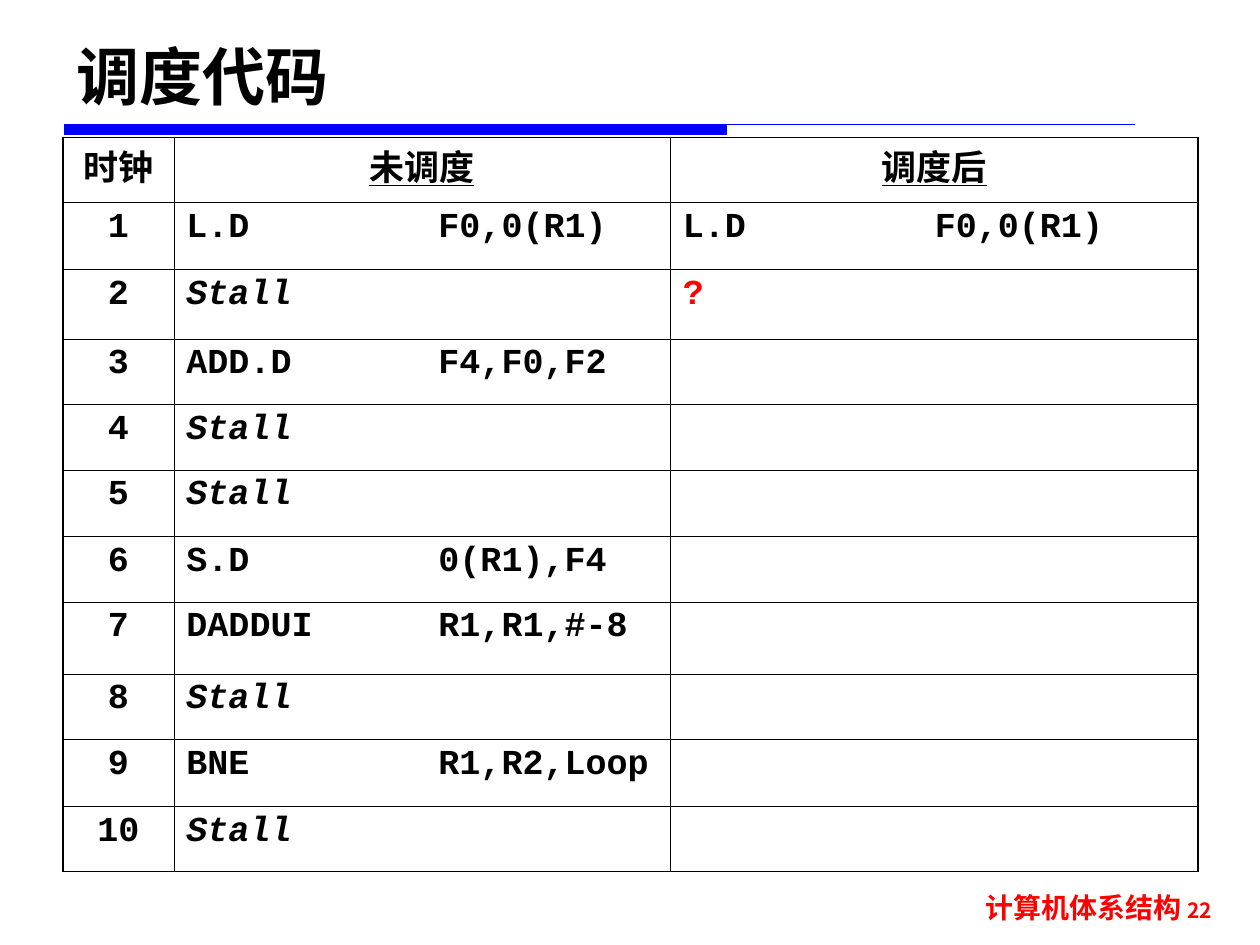
from lxml.etree import SubElement as Sub
from pptx import Presentation
from pptx.dml.color import RGBColor
from pptx.enum.shapes import MSO_CONNECTOR as Conn, MSO_SHAPE as Shape
from pptx.enum.text import MSO_ANCHOR as Anchor, PP_ALIGN as Align
from pptx.oxml.ns import qn
from pptx.util import Inches, Pt

BLACK = RGBColor(0, 0, 0)
RED = RGBColor(255, 0, 0)
BLUE = RGBColor(0, 0, 255)
CODE, HEAD, HAN = "Courier New", "DejaVu Sans", "Noto Sans CJK SC"
THICK, THIN = 1.08, 0.45

COLS = [0.88, 3.94, 4.19]
ROWS = [0.52, 0.53, 0.55, 0.52, 0.52, 0.53, 0.52, 0.57, 0.52, 0.53, 0.52]
TITLES = ["时钟", "未调度", "调度后"]
STEPS = ["L.D\t\tF0,0(R1)", "Stall", "ADD.D\t\tF4,F0,F2", "Stall", "Stall",
         "S.D\t\t0(R1),F4", "DADDUI\tR1,R1,#-8", "Stall",
         "BNE\t\tR1,R2,Loop", "Stall"]
AFTER = ["L.D\t\tF0,0(R1)", "?"]


class Deck:
    def __init__(self):
        self.prs = Presentation()
        self.prs.slide_width, self.prs.slide_height = Inches(10), Inches(7.5)
        self.slide = self.prs.slides.add_slide(self.prs.slide_layouts[6])
        self.shapes = self.slide.shapes

    def style(self, run, face, size, color=BLACK):
        font = run.font
        font.size, font.bold, font.name = Pt(size), True, face
        font.color.rgb = color
        Sub(run._r.get_or_add_rPr(), qn("a:ea"), typeface=HAN)

    def text(self, box, parts, face, color=BLACK, align=Align.LEFT,
             anchor=Anchor.TOP):
        frame = self.shapes.add_textbox(*map(Inches, box)).text_frame
        frame.word_wrap = True
        frame.vertical_anchor = anchor
        para = frame.paragraphs[0]
        para.alignment = align
        for words, size in parts:
            run = para.add_run()
            run.text = words
            self.style(run, face, size, color)

    def bar(self, box):
        bar = self.shapes.add_shape(Shape.RECTANGLE, *map(Inches, box))
        bar.shadow.inherit = False
        bar.fill.solid()
        bar.fill.fore_color.rgb = BLUE
        bar.line.fill.background()

    def rule(self, ends, width):
        rule = self.shapes.add_connector(Conn.STRAIGHT, *map(Inches, ends))
        rule.line.color.rgb = BLUE
        rule.line.width = Pt(width)
        Sub(rule._element.spPr, qn("a:effectLst"))

    def edges(self, cell, outer):
        props = cell._tc.get_or_add_tcPr()
        for side, thick in zip("LRTB", outer):
            width = Pt(THICK if thick else THIN)
            line = Sub(props, qn("a:ln" + side), w=str(width))
            fill = Sub(line, qn("a:solidFill"))
            Sub(fill, qn("a:srgbClr"), val=str(BLACK))
        cell.fill.background()

    def cell(self, cell, words, center, under):
        para = cell.text_frame.paragraphs[0]
        tabs = Sub(para._p.get_or_add_pPr(), qn("a:tabLst"))
        for stop in range(8):
            Sub(tabs, qn("a:tab"), pos=str(Inches(stop)), algn="l")
        para.text = words
        para.line_spacing = 0.9
        para.alignment = Align.CENTER if center else Align.LEFT
        for run in para.runs:
            self.style(run, CODE, 20, RED if words == "?" else BLACK)
            run.font.italic = words == "Stall"
            run.font.underline = under

    def table(self, left, top, cols, rows, data):
        size = (left, top, sum(cols), sum(rows))
        table = self.shapes.add_table(len(rows), len(cols),
                                      *map(Inches, size)).table
        table.first_row = table.horz_banding = False
        for col, width in zip(table.columns, cols):
            col.width = Inches(width)
        for row, height in zip(table.rows, rows):
            row.height = Inches(height)
        for r, line in enumerate(data):
            for c, words in enumerate(line):
                cell = table.cell(r, c)
                self.edges(cell, (c == 0, c == len(cols) - 1,
                                  r == 0, r == len(rows) - 1))
                if words:
                    self.cell(cell, words, r == 0 or c == 0, r == 0 and c > 0)


def main():
    deck = Deck()

    # Rule under the title
    deck.bar((0.51, 0.99, 5.26, 0.08))
    deck.rule((0.51, 0.99, 9.01, 0.99), 0.75)

    # Footer and title
    deck.text((7.27, 7.02, 2.45, 0.43), [("计算机体系结构 ", 16), ("22", 12)],
              HAN, RED, Align.RIGHT)
    deck.text((0.51, 0.21, 8.66, 0.74), [("调度代码", 36)], HEAD,
              anchor=Anchor.BOTTOM)

    # Clock table
    after = AFTER + [""] * (len(STEPS) - len(AFTER))
    clocks = map(str, range(1, len(STEPS) + 1))
    deck.table(0.5, 1.09, COLS, ROWS, [TITLES, *zip(clocks, STEPS, after)])

    deck.prs.save("out.pptx")


if __name__ == "__main__":
    main()
